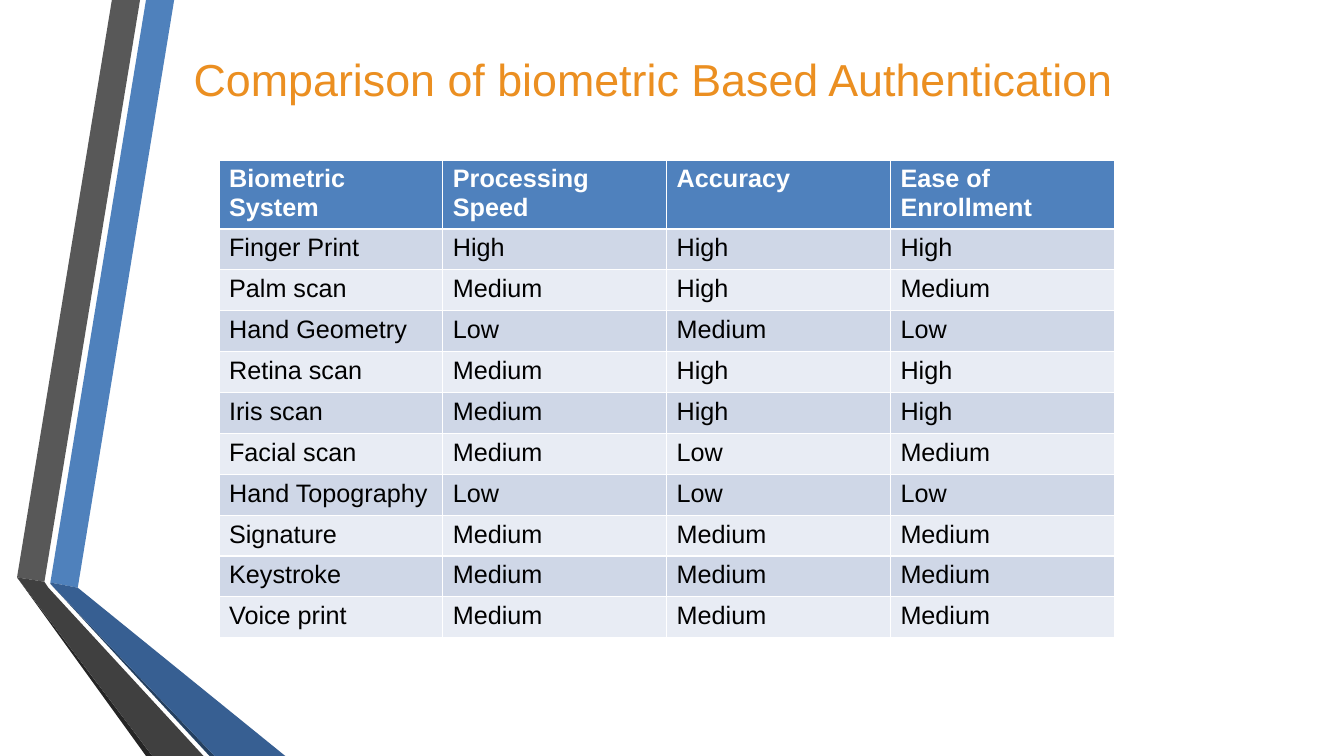
"""Build a slide that compares biometric systems in a table beside folded ribbons."""
import dataclasses

import pptx
import pptx.dml.color
import pptx.enum.text
import pptx.shapes.shapetree
import pptx.slide
import pptx.text.text
import pptx.util

Cm = pptx.util.Cm


@dataclasses.dataclass(frozen=True)
class Ribbon:
    color: str
    points: tuple[tuple[float, float], ...]


RIBBONS = (
    Ribbon("4F81BC", ((4.39, 0), (3.68, 0), (1.27, 14.68), (1.96, 14.81))),
    Ribbon("585858", ((3.53, 0), (2.82, 0), (0.43, 14.55), (1.12, 14.66))),
    Ribbon("252525", ((0.43, 14.55), (3.68, 19.05), (3.84, 19.05))),
    Ribbon("244060", ((1.27, 14.71), (5.28, 19.05), (5.41, 19.05))),
    Ribbon("375F92", ((1.27, 14.68), (1.27, 14.71), (5.41, 19.05),
                      (7.19, 19.05), (1.96, 14.81))),
    Ribbon("404040", ((0.43, 14.55), (3.84, 19.05), (5.13, 19.05),
                      (1.22, 14.81), (1.12, 14.66))),
)

HEADER = ("Biometric System", "Processing Speed", "Accuracy", "Ease of Enrollment")
SYSTEMS = (
    ("Finger Print", "High", "High", "High"),
    ("Palm scan", "Medium", "High", "Medium"),
    ("Hand Geometry", "Low", "Medium", "Low"),
    ("Retina scan", "Medium", "High", "High"),
    ("Iris scan", "Medium", "High", "High"),
    ("Facial scan", "Medium", "Low", "Medium"),
    ("Hand Topography", "Low", "Low", "Low"),
    ("Signature", "Medium", "Medium", "Medium"),
    ("Keystroke", "Medium", "Medium", "Medium"),
    ("Voice print", "Medium", "Medium", "Medium"),
)
COL_WIDTH, HEAD_HEIGHT, ROW_HEIGHT = 5.64, 1.74, 1.03


def paint(hue: str) -> pptx.dml.color.RGBColor:
    return pptx.dml.color.RGBColor.from_string(hue)


def write(frame: pptx.text.text.TextFrame, text: str, *, size: float,
          color: str, bold: bool = False) -> None:
    frame.word_wrap = True
    line = frame.paragraphs[0]
    line.alignment = pptx.enum.text.PP_ALIGN.LEFT
    run = line.add_run()
    run.text = text
    run.font.name = "Arial"
    run.font.size = pptx.util.Pt(size)
    run.font.bold = bold
    run.font.color.rgb = paint(color)


def draw_ribbon(shapes: pptx.shapes.shapetree.SlideShapes, ribbon: Ribbon) -> None:
    start, *rest = [(Cm(x), Cm(y)) for x, y in ribbon.points]
    pen = shapes.build_freeform(*start)
    pen.add_line_segments(rest, close=True)
    shape = pen.convert_to_shape()
    shape.shadow.inherit = False
    shape.fill.solid()
    shape.fill.fore_color.rgb = paint(ribbon.color)
    shape.line.fill.background()


def set_title(slide: pptx.slide.Slide) -> None:
    title = slide.shapes.title
    title.left, title.top = Cm(4.88), Cm(1.27)
    title.width, title.height = Cm(29), Cm(1.4)
    frame = title.text_frame
    frame.margin_left = frame.margin_right = frame.margin_bottom = 0
    frame.margin_top = Cm(0.03)
    frame.vertical_anchor = pptx.enum.text.MSO_ANCHOR.TOP
    frame.auto_size = pptx.enum.text.MSO_AUTO_SIZE.NONE
    write(frame, "Comparison of biometric Based Authentication",
          size=32, color="EB8F21")


def draw_table(shapes: pptx.shapes.shapetree.SlideShapes) -> None:
    rows = (HEADER, *SYSTEMS)
    table = shapes.add_table(
        len(rows), len(HEADER), Cm(5.52), Cm(4.03), Cm(COL_WIDTH * len(HEADER)),
        Cm(HEAD_HEIGHT + ROW_HEIGHT * len(SYSTEMS))).table
    for column in table.columns:
        column.width = Cm(COL_WIDTH)
    for i, texts in enumerate(rows):
        head = i == 0
        table.rows[i].height = Cm(HEAD_HEIGHT if head else ROW_HEIGHT)
        fill = "4F81BD" if head else "CFD7E7" if i % 2 else "E8ECF4"
        for j, text in enumerate(texts):
            cell = table.cell(i, j)
            cell.fill.solid()
            cell.fill.fore_color.rgb = paint(fill)
            write(cell.text_frame, text, size=18, bold=head,
                  color="FFFFFF" if head else "000000")


def main() -> None:
    deck = pptx.Presentation()
    deck.slide_width, deck.slide_height = Cm(33.87), Cm(19.05)
    slide = deck.slides.add_slide(deck.slide_layouts[5])
    for ribbon in RIBBONS:
        draw_ribbon(slide.shapes, ribbon)
    set_title(slide)
    draw_table(slide.shapes)
    deck.save("out.pptx")


if __name__ == "__main__":
    main()
